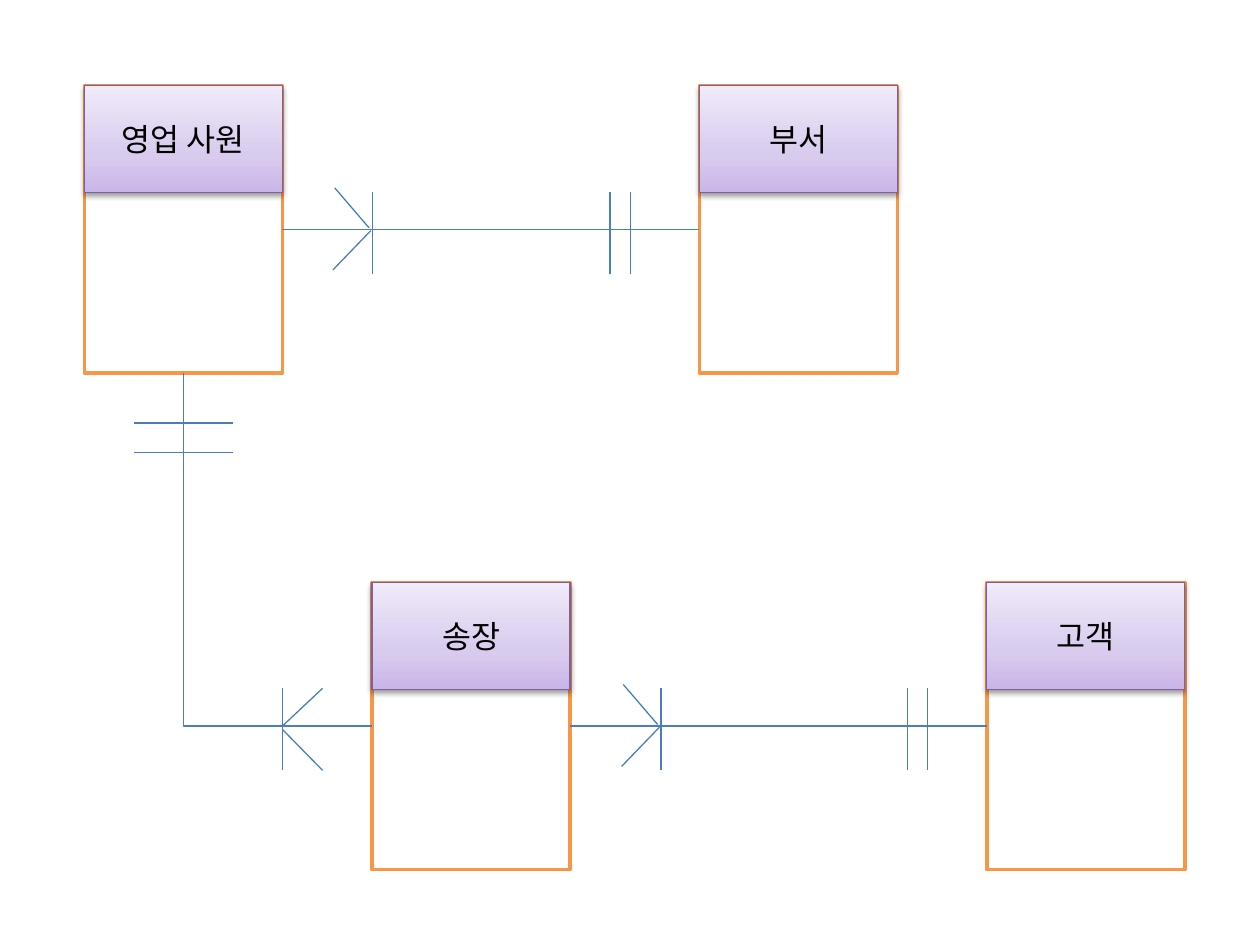
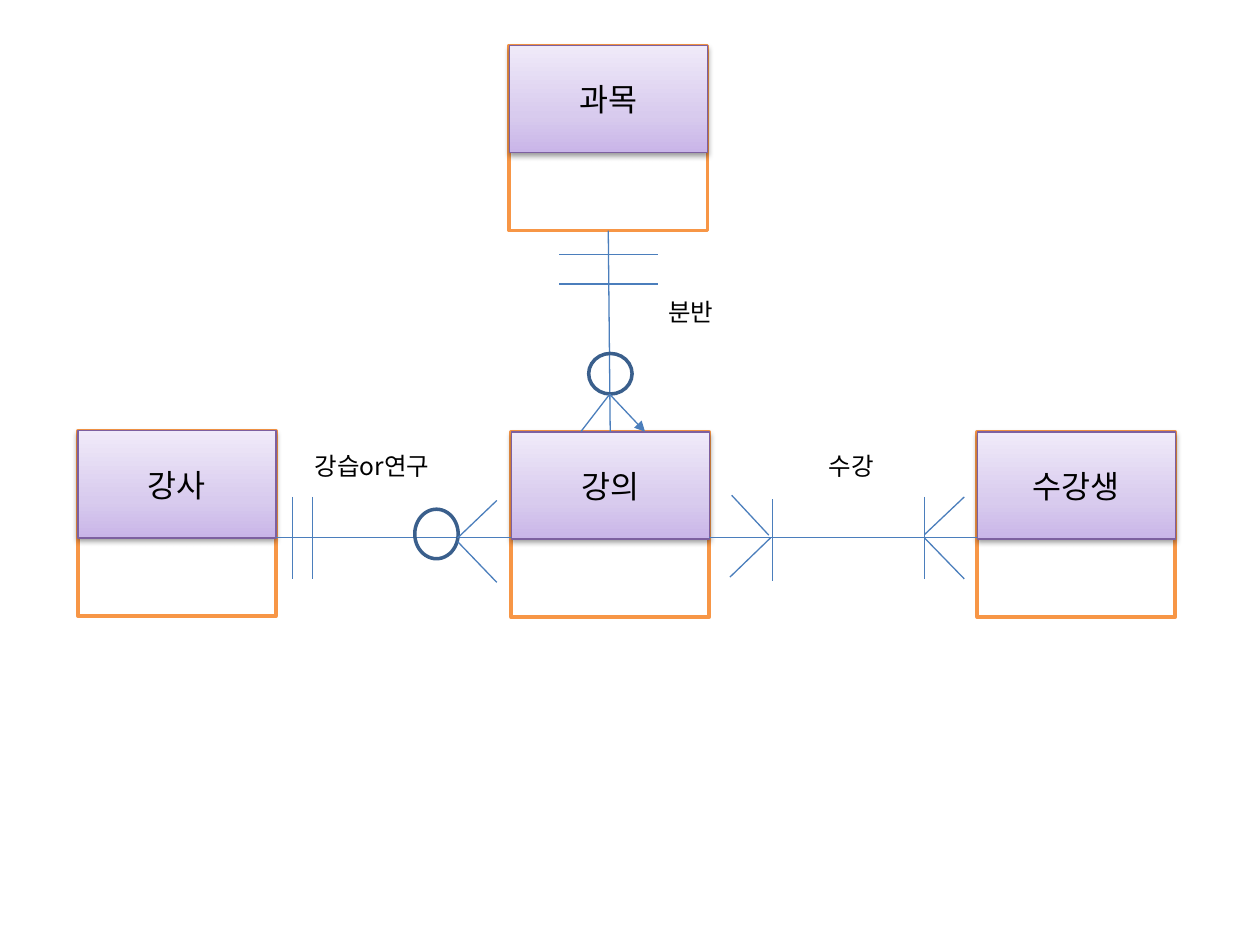
from copy import deepcopy
from dataclasses import dataclass

from lxml import etree
from pptx import Presentation
from pptx.dml import color
from pptx.enum import shapes, text
from pptx.oxml import ns
from pptx.util import Pt


@dataclass(frozen=True)
class Theme:
    font: str = "Noto Sans CJK KR"
    name_size: float = 18
    label_size: float = 14
    thin: float = 0.75
    thick: float = 2
    ink: str = "000000"
    paper: str = "FFFFFF"
    frame: str = "F79646"
    header_line: str = "7D60A0"
    link: str = "4B7EBC"
    ring: str = "3A5F8C"
    header_stops: tuple = ((0, "C9B5E8"), (0.35, "D8CBEE"), (1, "F0EAF9"))


@dataclass(frozen=True)
class Box:
    left: float
    top: float
    width: float
    height: float

    @property
    def right(self):
        return self.left + self.width

    @property
    def bottom(self):
        return self.top + self.height

    def lengths(self):
        return [Pt(side) for side in (self.left, self.top, self.width, self.height)]


THEME = Theme()
ENTITY_WIDTH = 113.2
HEADER_HEIGHT = 61.2
TALL, SHORT = 164.2, 105.9
MARK_HEIGHT = 46.8
BAR_GAP = 11.5
CROW_WIDTH = 22.6
CROW_DROP = 2.2
TOP, LEFT, BOTTOM, RIGHT = range(4)


def rgb(value):
    return color.RGBColor.from_string(value)


def add_xml(parent, tag, **attributes):
    return etree.SubElement(parent, ns.qn(tag), attributes)


def outline(item, tone, width):
    item.line.color.rgb = rgb(tone)
    item.line.width = Pt(width)


def write(shape, words, size, align):
    frame = shape.text_frame
    frame.word_wrap = True
    frame.text = words
    para = frame.paragraphs[0]
    para.alignment = align
    for span in para.runs:
        span.font.size = Pt(size)
        span.font.name = THEME.font
        span.font.color.rgb = rgb(THEME.ink)
        add_xml(span.font._element, "a:ea", typeface=THEME.font)


def add_preset(page, preset, box, tone, width):
    shape = page.shapes.add_shape(preset, *box.lengths())
    shape.shadow.inherit = False
    outline(shape, tone, width)
    return shape


def paint_header(header):
    header.fill.gradient()
    header.fill.gradient_angle = 90
    properties = header._element.spPr
    stop_list = properties.find(ns.qn("a:gradFill")).find(ns.qn("a:gsLst"))
    stop_list.append(deepcopy(stop_list[0]))
    for stop, (position, tone) in zip(header.fill.gradient_stops, THEME.header_stops):
        stop.position = position
        stop.color.rgb = rgb(tone)
    shadow = add_xml(properties.find(ns.qn("a:effectLst")), "a:outerShdw",
                     blurRad=str(Pt(3.1)), dist=str(Pt(1.6)), dir="5400000", rotWithShape="0")
    shade = add_xml(shadow, "a:srgbClr", val=THEME.ink)
    add_xml(shade, "a:alpha", val="38000")


def entity(page, box, name):
    rectangle = shapes.MSO_SHAPE.RECTANGLE
    frame = add_preset(page, rectangle, box, THEME.frame, THEME.thick)
    frame.fill.solid()
    frame.fill.fore_color.rgb = rgb(THEME.paper)
    header_box = Box(box.left, box.top, box.width, HEADER_HEIGHT)
    header = add_preset(page, rectangle, header_box, THEME.header_line, THEME.thin)
    paint_header(header)
    header.text_frame.vertical_anchor = text.MSO_ANCHOR.MIDDLE
    write(header, name, THEME.name_size, text.PP_ALIGN.CENTER)
    return frame


def line(page, x1, y1, x2, y2, kind=shapes.MSO_CONNECTOR.STRAIGHT):
    connector = page.shapes.add_connector(kind, Pt(x1), Pt(y1), Pt(x2), Pt(y2))
    outline(connector, THEME.link, THEME.thin)
    add_xml(connector._element.spPr, "a:effectLst")
    return connector


def link(page, first, first_side, second, second_side, kind=shapes.MSO_CONNECTOR.STRAIGHT):
    connector = line(page, 0, 0, 0, 0, kind)
    connector.begin_connect(first, first_side)
    connector.end_connect(second, second_side)
    return connector


def corner_link(page, upper, lower):
    connector = link(page, upper, BOTTOM, lower, LEFT, shapes.MSO_CONNECTOR.ELBOW)
    across, down = connector.width, connector.height
    shift = (down - across) // 2
    connector.left, connector.top = connector.left - shift, connector.top + shift
    connector.width, connector.height = down, across
    properties = connector._element.spPr
    properties.find(ns.qn("a:prstGeom")).set("prst", "bentConnector2")
    transform = properties.find(ns.qn("a:xfrm"))
    transform.set("rot", "16200000")
    transform.set("flipH", "1")


def upright_bars(page, box):
    for x in (box.left, box.right):
        line(page, x, box.top, x, box.bottom)


def level_bars(page, box):
    for y in (box.top, box.bottom):
        line(page, box.left, y, box.right, y)


def crow_left(page, box, bar=True):
    line(page, box.left, box.top + 21.4, box.right, box.top)
    line(page, box.left, box.top + 23.5, box.right, box.bottom)
    if bar:
        line(page, box.left, box.top, box.left, box.bottom)


def crow_right(page, box):
    line(page, box.left + 1, box.top, box.right - 2, box.top + 22.8)
    line(page, box.right - 1, box.top + 24.4, box.left, box.bottom)
    line(page, box.right, box.top + CROW_DROP, box.right, box.bottom + CROW_DROP)


def crow_down(page, box):
    tip = box.left + 16.5
    line(page, tip, box.top, box.left, box.bottom)
    arrow = line(page, tip, box.top, box.right, box.bottom)
    add_xml(arrow.line._get_or_add_ln(), "a:tailEnd", type="triangle")


def ring(page, box):
    shape = add_preset(page, shapes.MSO_SHAPE.OVAL, box, THEME.ring, THEME.thick)
    shape.fill.background()


def label(page, box, words, align=text.PP_ALIGN.CENTER):
    note = page.shapes.add_textbox(*box.lengths())
    write(note, words, THEME.label_size, align)
    note.text_frame.auto_size = text.MSO_AUTO_SIZE.SHAPE_TO_FIT_TEXT


def one_to_many_row(page, box, many, one, crow_offset, bars_offset):
    link(page, many, RIGHT, one, LEFT)
    crow_right(page, Box(box.left + crow_offset, box.top, CROW_WIDTH, MARK_HEIGHT))
    upright_bars(page, Box(box.left + bars_offset, box.top + CROW_DROP, BAR_GAP, MARK_HEIGHT))


def sales_page(page):
    upper, lower = 49, 332.8
    places = {
        "영업 사원": (48.2, upper),
        "송장": (212.6, lower),
        "부서": (399.6, upper),
        "고객": (563.9, lower),
    }
    frames = {name: entity(page, Box(*place, ENTITY_WIDTH, TALL), name)
              for name, place in places.items()}
    corner_link(page, frames["영업 사원"], frames["송장"])
    crow_left(page, Box(161.5, 393.4, 22.8, MARK_HEIGHT))
    level_bars(page, Box(76.5, 241.7, 56.7, 17))
    gap = 238.2
    one_to_many_row(page, Box(161.4, 107.4, gap, MARK_HEIGHT),
                    frames["영업 사원"], frames["부서"], 28.9, 187.2)
    one_to_many_row(page, Box(325.8, 391.2, gap, MARK_HEIGHT),
                    frames["송장"], frames["고객"], 29.4, 192.8)


def course_page(page):
    places = {
        "강사": (44.5, 246.2),
        "과목": (291, 25.9),
        "수강생": (558.4, 246.8),
        "강의": (292.1, 246.8),
    }
    frames = {name: entity(page, Box(*place, ENTITY_WIDTH, SHORT), name)
              for name, place in places.items()}
    link(page, frames["과목"], BOTTOM, frames["강의"], TOP)
    axis = 307.3
    line(page, 292.1, axis, 157.7, axis)
    line(page, 405.3, axis, 558.4, axis)

    ring(page, Box(237, 291, 24.8, 28.3))
    crow_left(page, Box(261.5, 286, 22.4, MARK_HEIGHT), bar=False)
    upright_bars(page, Box(167.1, 283.9, BAR_GAP, MARK_HEIGHT))

    ring(page, Box(336.4, 202, 24.8, 23.2))
    crow_down(page, Box(331.9, 225.3, 36.7, 21.4))
    level_bars(page, Box(319.6, 145.3, 56.4, 17))

    crow_left(page, Box(528.4, 284, 22.6, MARK_HEIGHT))
    crow_right(page, Box(417.1, 283, 24.2, MARK_HEIGHT))

    size = (92.9, 24.2)
    label(page, Box(172.8, 254.2, *size), "강습or연구", text.PP_ALIGN.LEFT)
    label(page, Box(440, 254.2, *size), "수강")
    label(page, Box(348.4, 166.2, *size), "분반")


def build():
    deck = Presentation()
    deck.slide_width, deck.slide_height = Pt(720), Pt(540)
    for fill_page in (sales_page, course_page):
        fill_page(deck.slides.add_slide(deck.slide_layouts[6]))
    deck.save("out.pptx")


build()
